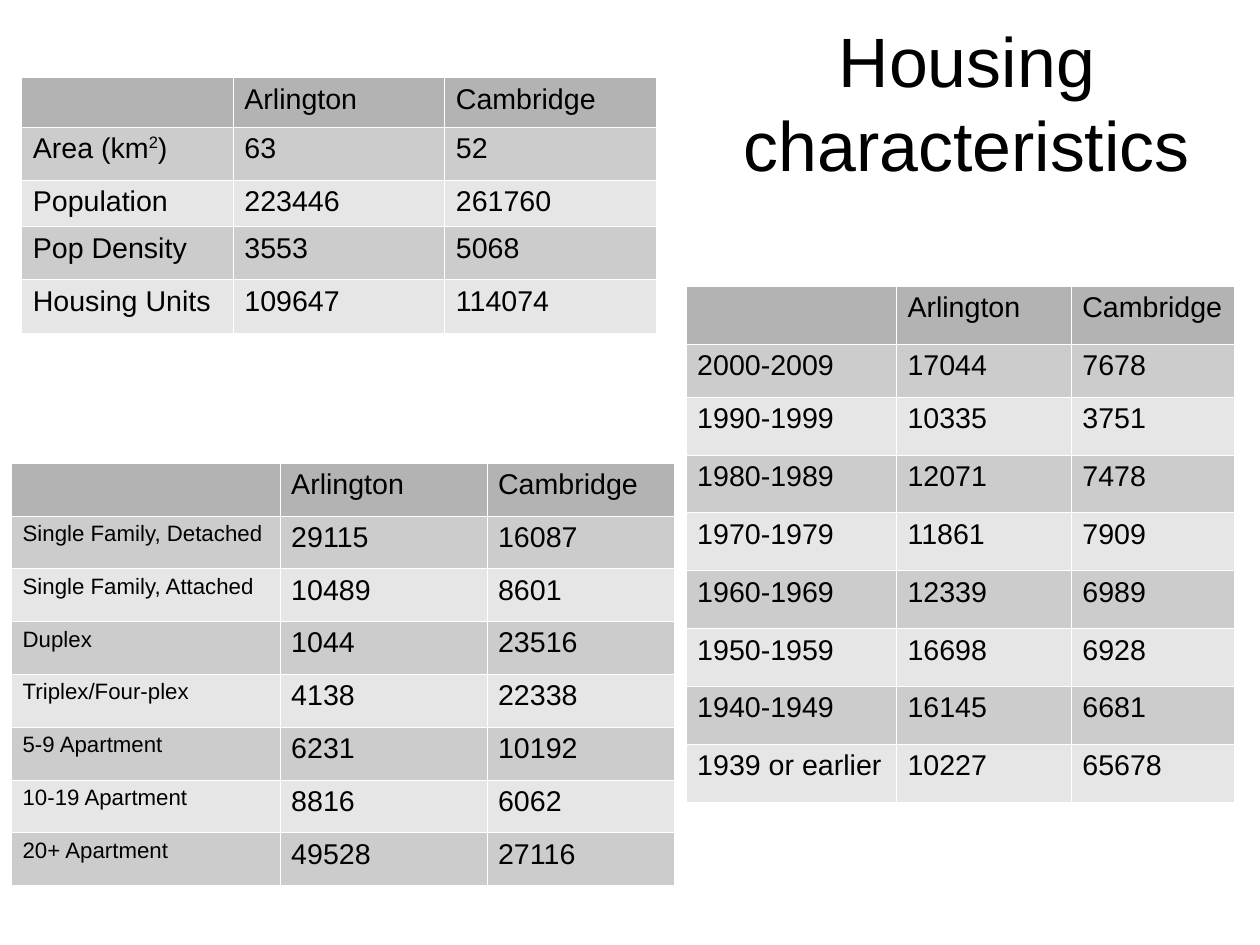
from dataclasses import dataclass

from lxml import etree
from pptx import Presentation, util as u
from pptx.dml import color
from pptx.enum import text
from pptx.oxml import ns


@dataclass(frozen=True)
class Theme:
    font: str = "Arial"
    ink: str = "000000"
    border: str = "FFFFFF"
    header: str = "B3B3B3"
    bands: tuple = ("CCCCCC", "E6E6E6")
    title_size: int = 44
    body_size: int = 18
    small_size: int = 14
    border_width: float = 0.06


class Deck:
    """Holds the theme and current slide; lengths are percent of its size."""

    def __init__(self, prs, theme):
        self.prs, self.theme = prs, theme
        self.s = prs.slides.add_slide(prs.slide_layouts[5])

    def x(self, share):
        return round(self.prs.slide_width * share / 100)

    def y(self, share):
        return round(self.prs.slide_height * share / 100)

    def style(self, font, size):
        values = {"name": self.theme.font, "size": u.Pt(size), "bold": False}
        for name, value in values.items():
            setattr(font, name, value)
        font.color.rgb = color.RGBColor.from_string(self.theme.ink)

    def title(self, words, left, top, width, height):
        sp = self.s.shapes.title
        box = {"left": self.x(left), "top": self.y(top),
               "width": self.x(width), "height": self.y(height)}
        for name, value in box.items():
            setattr(sp, name, value)
        tf = sp.text_frame
        frame = {"margin_left": 0, "margin_right": 0, "margin_top": 0,
                 "margin_bottom": 0, "word_wrap": True,
                 "vertical_anchor": text.MSO_ANCHOR.MIDDLE,
                 "auto_size": text.MSO_AUTO_SIZE.SHAPE_TO_FIT_TEXT}
        for name, value in frame.items():
            setattr(tf, name, value)
        p = tf.paragraphs[0]
        p.alignment = text.PP_ALIGN.CENTER
        r = p.add_run()
        r.text = words
        self.style(r.font, self.theme.title_size)

    def borders(self, cell):
        tc_pr = cell._tc.get_or_add_tcPr()
        for side in ("lnL", "lnR", "lnT", "lnB"):
            ln = etree.SubElement(tc_pr, ns.qn(f"a:{side}"),
                                  w=str(u.Pt(self.theme.border_width)))
            fill = etree.SubElement(ln, ns.qn("a:solidFill"))
            etree.SubElement(fill, ns.qn("a:srgbClr"), val=self.theme.border)

    def cell(self, cell, content, size, fill):
        self.borders(cell)
        cell.fill.solid()
        cell.fill.fore_color.rgb = color.RGBColor.from_string(fill)
        p = cell.text_frame.paragraphs[0]
        self.style(p.font, size)
        # In a tuple of runs, every second one is a superscript
        runs = content if isinstance(content, tuple) else (content,)
        for i, words in enumerate(runs):
            if words:
                r = p.add_run()
                r.text = words
                self.style(r.font, size)
                if i % 2:
                    r._r.get_or_add_rPr().set("baseline", "33000")

    def table(self, rows, left, top, widths, heights, label_size):
        frame = self.s.shapes.add_table(
            len(rows), len(widths), self.x(left), self.y(top),
            self.x(sum(widths)), self.y(sum(heights)))
        tbl = frame.table
        tbl.first_row = tbl.horz_banding = False
        for column, width in zip(tbl.columns, widths):
            column.width = self.x(width)
        for i, (row, height) in enumerate(zip(rows, heights)):
            tbl.rows[i].height = self.y(height)
            fill = self.theme.bands[(i - 1) % 2] if i else self.theme.header
            for j, content in enumerate(row):
                size = label_size if i and not j else self.theme.body_size
                self.cell(tbl.cell(i, j), content, size, fill)


HEADER = ("", "Arlington", "Cambridge")

OVERVIEW = [
    HEADER,
    (("Area (km", "2", ")"), "63", "52"),
    ("Population", "223446", "261760"),
    ("Pop Density", "3553", "5068"),
    ("Housing Units", "109647", "114074"),
]

YEAR_BUILT = [
    HEADER,
    ("2000-2009", "17044", "7678"),
    ("1990-1999", "10335", "3751"),
    ("1980-1989", "12071", "7478"),
    ("1970-1979", "11861", "7909"),
    ("1960-1969", "12339", "6989"),
    ("1950-1959", "16698", "6928"),
    ("1940-1949", "16145", "6681"),
    ("1939 or earlier", "10227", "65678"),
]

BUILDING_TYPE = [
    HEADER,
    ("Single Family, Detached", "29115", "16087"),
    ("Single Family, Attached", "10489", "8601"),
    ("Duplex", "1044", "23516"),
    ("Triplex/Four-plex", "4138", "22338"),
    ("5-9 Apartment", "6231", "10192"),
    ("10-19 Apartment", "8816", "6062"),
    ("20+ Apartment", "49528", "27116"),
]


def main():
    prs = Presentation()
    prs.slide_width, prs.slide_height = u.Cm(28), u.Cm(21)
    theme = Theme()
    deck = Deck(prs, theme)
    right = 54.43

    # Title
    deck.title("Housing characteristics", right, 2.42, 44.63, 16.69)

    # Area, population and housing units
    deck.table(OVERVIEW, 1.7, 8.2, [16.79] * 3,
               [5.2, 5.62, 4.96, 5.6, 5.62], theme.body_size)

    # Housing units by year built
    deck.table(YEAR_BUILT, right, 30.25, [16.69, 13.88, 12.98],
               [6.13, 5.6] + [6.13] * 7, theme.body_size)

    # Housing units by building type
    deck.table(BUILDING_TYPE, 0.89, 48.98, [21.32, 16.42, 14.88],
               [5.59] * len(BUILDING_TYPE), theme.small_size)

    prs.save("out.pptx")


if __name__ == "__main__":
    main()
